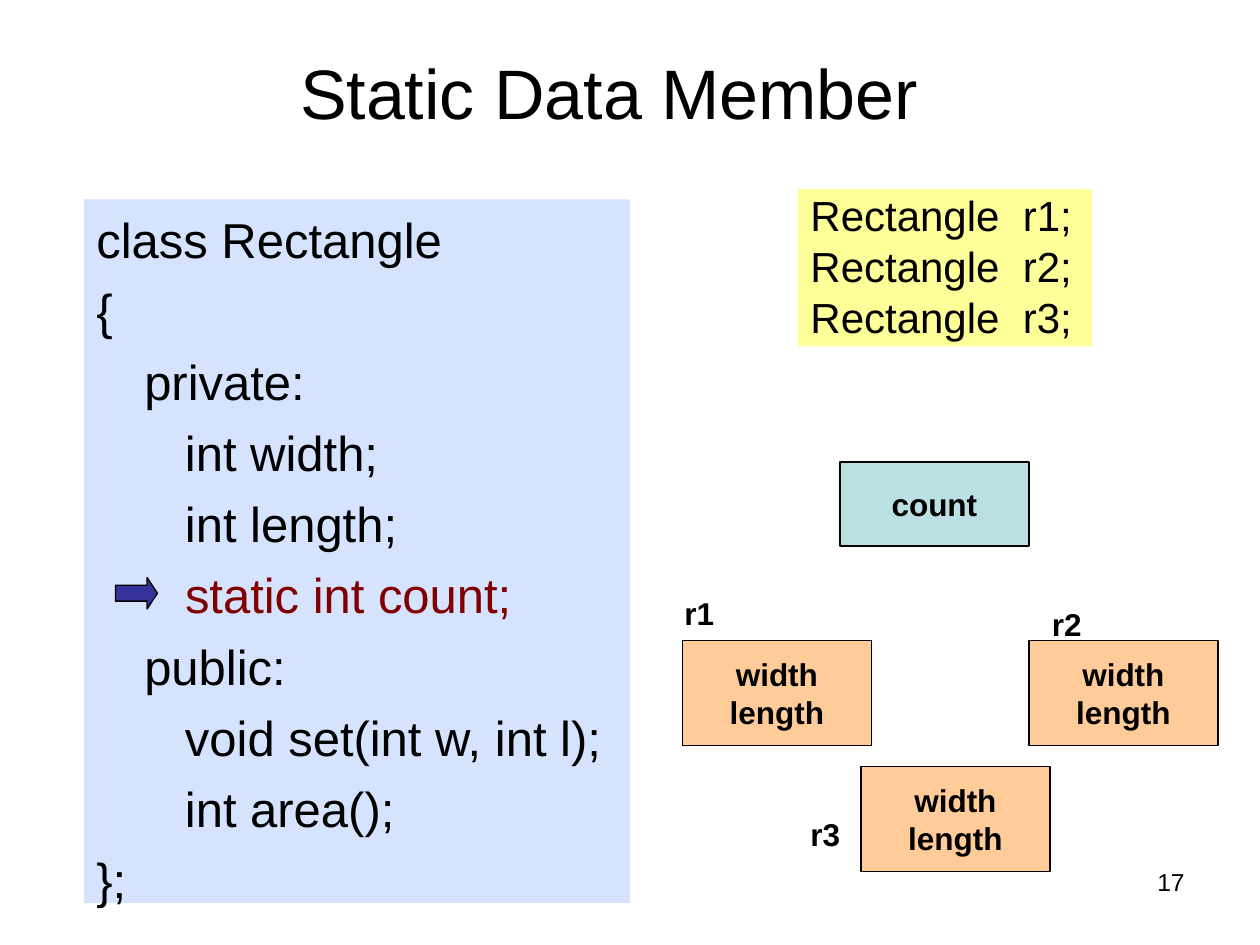
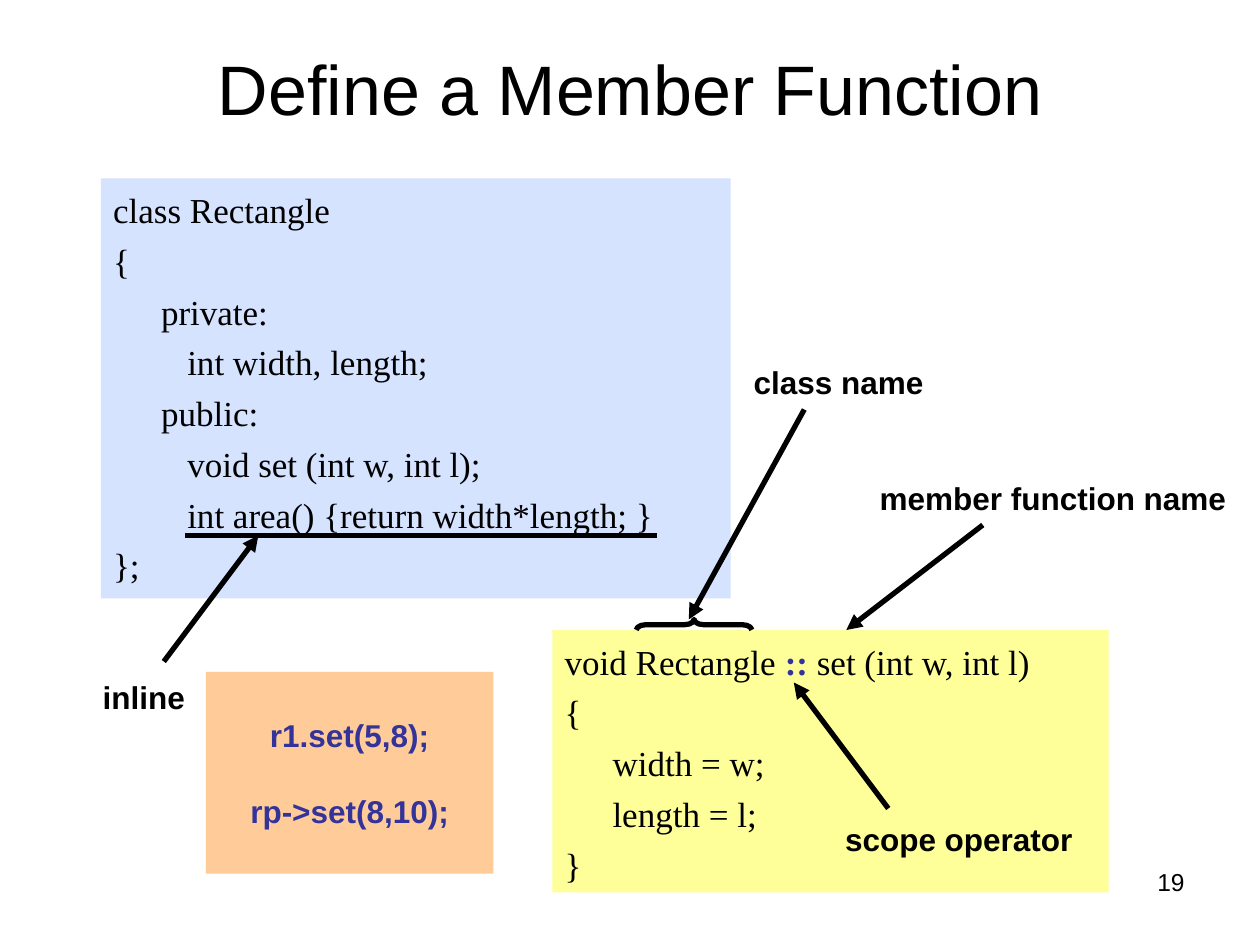
import pptx
import pptx.util
import pptx.dml.color
import pptx.enum.shapes
import pptx.enum.text
import pptx.oxml.xmlchemy
from dataclasses import dataclass
from pptx.dml.color import RGBColor
from pptx.enum.shapes import MSO_CONNECTOR, MSO_SHAPE
from pptx.enum.text import MSO_ANCHOR, MSO_AUTO_SIZE, PP_ALIGN


@dataclass(frozen=True)
class Theme:
    black: RGBColor = RGBColor.from_string("000000")
    code_blue: RGBColor = RGBColor.from_string("D5E3FF")
    code_yellow: RGBColor = RGBColor.from_string("FFFF99")
    object_orange: RGBColor = RGBColor.from_string("FFCC99")
    shared_teal: RGBColor = RGBColor.from_string("BBE0E3")
    indigo: RGBColor = RGBColor.from_string("333399")
    maroon: RGBColor = RGBColor.from_string("800000")
    sans: str = "Arial"
    serif: str = "Times New Roman"
    title_size: int = 40
    label_size: int = 18
    number_size: int = 14
    thin: float = 0.75
    thick: float = 3


theme = Theme()
presentation = pptx.Presentation()
presentation.slide_width = pptx.util.Inches(10)
presentation.slide_height = pptx.util.Inches(7.5)

# The slide is a grid of 120 columns by 90 rows of square cells
cell = presentation.slide_width / 120
title_only = presentation.slide_layouts[5]

# Shared formats
label = {"name": theme.sans, "size": theme.label_size, "bold": True}
number = {"name": theme.sans, "size": theme.number_size}
large_code = {"name": theme.sans, "size": 28}
medium_code = {"name": theme.sans, "size": 24}
small_code = {"name": theme.serif, "size": 20}
centred = {"alignment": PP_ALIGN.CENTER}
code_frame = {"word_wrap": True, "margin_top": pptx.util.Inches(0.08)}
middle_frame = {"word_wrap": False, "vertical_anchor": MSO_ANCHOR.MIDDLE}


def add_shape(slide, kind, place, fill=None, line_width=None):
    """Add a preset shape, placed in grid cells."""
    shape = slide.shapes.add_shape(kind, *[round(length * cell) for length in place])
    shape.shadow.inherit = False
    if fill is None:
        shape.fill.background()
    else:
        shape.fill.solid()
        shape.fill.fore_color.rgb = fill
    if line_width is None:
        shape.line.fill.background()
    else:
        shape.line.color.rgb = theme.black
        shape.line.width = pptx.util.Pt(line_width)
    return shape


def write(shape, lines, font, frame_format, paragraph_format=None, code=False, gap=0):
    """Write lines, each a string or a list of (text, font changes) runs."""
    frame = shape.text_frame
    for key, value in frame_format.items():
        setattr(frame, key, value)
    for index, line in enumerate(lines):
        paragraph = frame.paragraphs[0] if index == 0 else frame.add_paragraph()
        style = {"alignment": PP_ALIGN.LEFT, **(paragraph_format or {})}
        if index:
            style["space_before"] = pptx.util.Pt(gap)
        for key, value in style.items():
            setattr(paragraph, key, value)
        if code:
            properties = paragraph._p.get_or_add_pPr()
            hanging = pptx.util.Inches(0.38)
            properties.set("marL", str(hanging))
            properties.set("indent", str(-hanging))
        for text, changes in [(line, {})] if isinstance(line, str) else line:
            run = paragraph.add_run()
            run.text = text
            values = {"color": theme.black, "bold": False, **font, **changes}
            run.font.color.rgb = values.pop("color")
            run.font.size = pptx.util.Pt(values.pop("size"))
            for key, value in values.items():
                setattr(run.font, key, value)


# Content of both slides; places are left, top, width, height in cells
pages = [
    {
        "title": "Static Data Member",
        "title_place": (4, 4.5, 108, 8.4),
        "number": "17",
        "code": [
            ((8, 19, 52, 67), theme.code_blue, large_code, 1, [
                "class Rectangle",
                "{",
                "\tprivate:",
                "\t   int width;",
                "\t   int length;",
                [("\t   ", {}), ("static int count;", {"color": theme.maroon})],
                "\tpublic:",
                "\t   void set(int w, int l);",
                "\t   int area();",
                "};",
            ]),
            ((76, 18, 28, 15), theme.code_yellow, medium_code, 0.8, [
                f"Rectangle  r{index};" for index in (1, 2, 3)
            ]),
        ],
        "labels": [
            ("r1", (64, 56, 5.3, 4.8)),
            ("r3", (76, 77, 5.3, 4.8)),
            ("r2", (99, 57, 5.3, 4.8)),
        ],
    },
    {
        "title": "Define a Member Function",
        "title_place": (6, 3.6, 108, 9.4),
        "number": "19",
        "code": [
            ((9.6, 17, 60, 40), theme.code_blue, small_code, 1, [
                "class Rectangle",
                "{",
                "\tprivate:",
                "\t   int width, length;",
                "\tpublic:",
                "\t   void set (int w, int l);",
                "\t   int area() {return width*length; }",
                "};",
            ]),
            ((52.6, 60, 53, 25), theme.code_yellow, small_code, 1, [
                [
                    ("void Rectangle ", {}),
                    ("::", {"color": theme.indigo, "bold": True}),
                    (" set (int w, int l)", {}),
                ],
                "{",
                "\twidth = w;",
                "\tlength = l;",
                "}",
            ]),
        ],
        "labels": [
            ("inline", (8.6, 64, 10.2, 4.8)),
            ("class name", (70.6, 34, 18.6, 4.8)),
            ("member function name", (82.6, 45, 35.4, 4.8)),
            ("scope operator", (79.3, 77.5, 24.1, 4.8)),
        ],
    },
]

# Parts found on each slide: title, code panels, labels, page number
slides = []
for page in pages:
    slide = presentation.slides.add_slide(title_only)
    slides.append(slide)

    title = slide.shapes.title
    for side, length in zip(("left", "top", "width", "height"), page["title_place"]):
        setattr(title, side, round(length * cell))
    title_frame = {"auto_size": MSO_AUTO_SIZE.NONE, **middle_frame, "word_wrap": True}
    title_font = {"name": theme.sans, "size": theme.title_size}
    write(title, [page["title"]], title_font, title_frame, centred)

    for place, fill, font, spacing, lines in page["code"]:
        panel = add_shape(slide, MSO_SHAPE.RECTANGLE, place, fill)
        panel_format = {"line_spacing": spacing}
        panel_frame = {**code_frame, "vertical_anchor": MSO_ANCHOR.TOP}
        write(panel, lines, font, panel_frame, panel_format,
              code=True, gap=font["size"] / 4)

    notes = [(text, place, label, PP_ALIGN.LEFT, False) for text, place in page["labels"]]
    notes.append((page["number"], (86, 82, 28, 6.25), number, PP_ALIGN.RIGHT, True))
    for text, place, font, alignment, wrap in notes:
        box = slide.shapes.add_textbox(*[round(length * cell) for length in place])
        write(box, [text], font, {"word_wrap": wrap}, {"alignment": alignment})

data_slide, function_slide = slides

# Static data member: arrow to the static line, shared count, three objects
pointer = add_shape(data_slide, MSO_SHAPE.RIGHT_ARROW, (11, 55, 4, 3),
                    theme.indigo, theme.thin)
pointer.adjustments[1] = 0.33

members = ["width", "length"]
for place, fill, lines in [
    ((65, 61, 18, 10), theme.object_orange, members),
    ((98, 61, 18, 10), theme.object_orange, members),
    ((82, 73, 18, 10), theme.object_orange, members),
    ((80, 44, 18, 8), theme.shared_teal, ["count"]),
]:
    member_box = add_shape(data_slide, MSO_SHAPE.RECTANGLE, place, fill, theme.thin)
    write(member_box, lines, label, middle_frame, centred)

# Member function: arrows from the labels and the inline underline
for start_x, start_y, end_x, end_y, has_head in [
    (15.6, 63, 24.6, 51, True),
    (17.6, 51, 62.6, 51, False),
    (76.6, 39, 65.6, 59, True),
    (93.6, 50, 80.6, 60, True),
    (84.6, 77, 75.6, 65, True),
]:
    ends = [round(length * cell) for length in (start_x, start_y, end_x, end_y)]
    connector = function_slide.shapes.add_connector(MSO_CONNECTOR.STRAIGHT, *ends)
    connector.line.color.rgb = theme.black
    connector.line.width = pptx.util.Pt(theme.thick)
    if has_head:
        line_element = connector.line._get_or_add_ln()
        head = pptx.oxml.xmlchemy.OxmlElement("a:tailEnd")
        head.set("type", "triangle")
        line_element.append(head)
    connector._element.spPr.append(pptx.oxml.xmlchemy.OxmlElement("a:effectLst"))

# Brace over the class name
brace = add_shape(function_slide, MSO_SHAPE.LEFT_BRACE, (65.6, 54, 1, 11),
                  line_width=theme.thick)
brace.rotation = 90
brace.adjustments[0] = 0.92

# Calls of the member function
calls = add_shape(function_slide, MSO_SHAPE.RECTANGLE, (19.6, 64, 27.4, 19.2),
                  theme.object_orange)
write(calls, ["r1.set(5,8);", "rp->set(8,10);"], {**label, "color": theme.indigo},
      {**middle_frame, "word_wrap": True}, centred, gap=22)

presentation.save("out.pptx")
